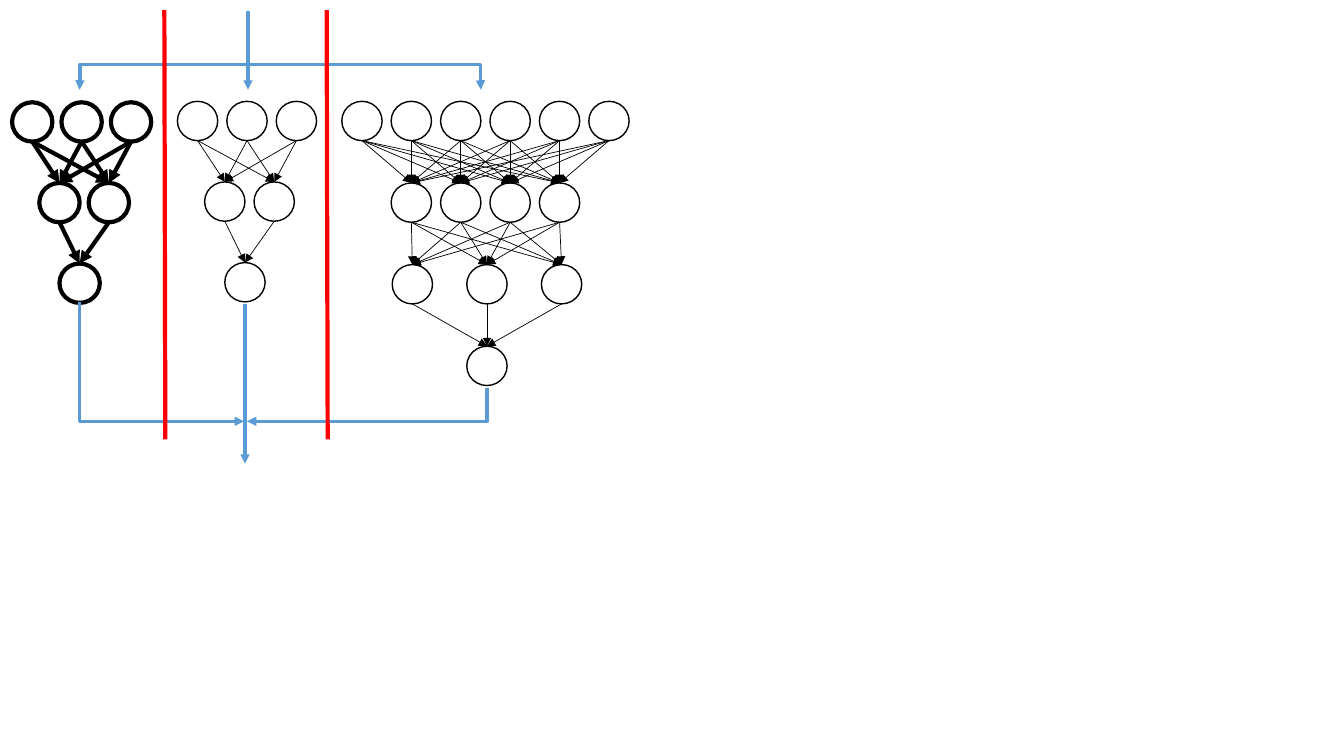
from pptx import Presentation
from pptx.dml.color import RGBColor as RGB
from pptx.enum.shapes import MSO_CONNECTOR as CONN, MSO_SHAPE as SHAPE
from pptx.oxml.ns import qn
from pptx.util import Inches, Pt
from lxml.etree import SubElement

COLORS = {"neuron": "FFFFFF", "ink": "000000", "flow": "5B9BD5", "divider": "FF0000"}
NODE_W, NODE_H = 0.4, 0.39
PITCH = 0.49  # distance between neighbouring neurons


def link(shapes, start, end, color, weight, arrow=True, bend=None):
    """Straight line, or an elbow that turns at the share `bend` of its width."""
    kind = CONN.STRAIGHT if bend is None else CONN.ELBOW
    c = shapes.add_connector(kind, *(Inches(v) for v in (*start, *end)))
    c.line.color.rgb = RGB.from_string(COLORS[color])
    c.line.width = Pt(weight)
    spPr = c._element.spPr
    if arrow:
        SubElement(spPr.find(qn("a:ln")), qn("a:tailEnd"), type="triangle")
    if bend is not None:
        geom = spPr.find(qn("a:prstGeom"))
        SubElement(geom.get_or_add_avLst(), qn("a:gd"),
                   name="adj1", fmla=f"val {round(bend * 100000)}")
    SubElement(spPr, qn("a:effectLst"))


def neuron(shapes, x, y, weight):
    sp = shapes.add_shape(SHAPE.OVAL, Inches(x - NODE_W / 2), Inches(y - NODE_H / 2),
                          Inches(NODE_W), Inches(NODE_H))
    sp.shadow.inherit = False
    sp.fill.solid()
    sp.fill.fore_color.rgb = RGB.from_string(COLORS["neuron"])
    sp.line.color.rgb = RGB.from_string(COLORS["ink"])
    sp.line.width = Pt(weight)


def network(s, left, top, row_gap, layers, node_weight, link_weight):
    """Fully connected layers, each given as (offset of first, count, pitch)."""
    shapes = s.shapes.add_group_shape().shapes
    rows = [[(left + first + i * pitch, top + row * row_gap) for i in range(count)]
            for row, (first, count, pitch) in enumerate(layers)]
    for row in rows:
        for x, y in row:
            neuron(shapes, x, y, node_weight)
    for upper, lower in zip(rows, rows[1:]):
        for x1, y1 in upper:
            for x2, y2 in lower:
                link(shapes, (x1, y1 + NODE_H / 2), (x2, y2 - NODE_H / 2),
                     "ink", link_weight)


def data_flow(s, left, middle, right, top, bottom):
    """Input split over the three networks, then their outputs joined."""
    shapes = s.shapes.add_group_shape().shapes
    split, join = top + 0.53, bottom - 0.42
    entry, leave = middle + 0.03, middle
    heads = top + 0.78
    link(shapes, (entry, split), (right - 0.06, heads), "flow", 2.25, bend=0.998)
    link(shapes, (entry, top), (entry, heads), "flow", 2.25)
    link(shapes, (leave, 3.02), (leave, bottom), "flow", 2.25)
    link(shapes, (right, 3.85), (leave + 0.02, join), "flow", 2.25, bend=0)
    link(shapes, (left, 3), (leave - 0.01, join), "flow", 2.25, bend=0)
    link(shapes, (entry, split), (left, heads), "flow", 2.25, bend=0.998)


def dividers(s, xs, top, bottom):
    for x in xs:
        link(s.shapes, (x, top), (x + 0.01, bottom), "divider", 3, arrow=False)


def main():
    prs = Presentation()
    prs.slide_width, prs.slide_height = Inches(13.33), Inches(7.5)
    s = prs.slides.add_slide(prs.slide_layouts[6])

    # Networks
    wide = [(0, 6, PITCH), (0.49, 4, PITCH), (0.5, 3, 0.74), (1.24, 1, 0)]
    small = [(0, 3, PITCH), (0.27, 2, PITCH), (0.47, 1, 0)]
    network(s, 3.59, 1.2, 0.81, wide, 1, 0.5)
    network(s, 1.96, 1.2, 0.8, small, 1, 0.5)
    network(s, 0.32, 1.21, 0.8, small, 3, 3)

    # Flow between networks and the lines that part them
    data_flow(s, left=0.79, middle=2.43, right=4.83, top=0.11, bottom=4.6)
    dividers(s, (3.24, 1.63), 0.1, 4.36)
    prs.save("out.pptx")


if __name__ == "__main__":
    main()
